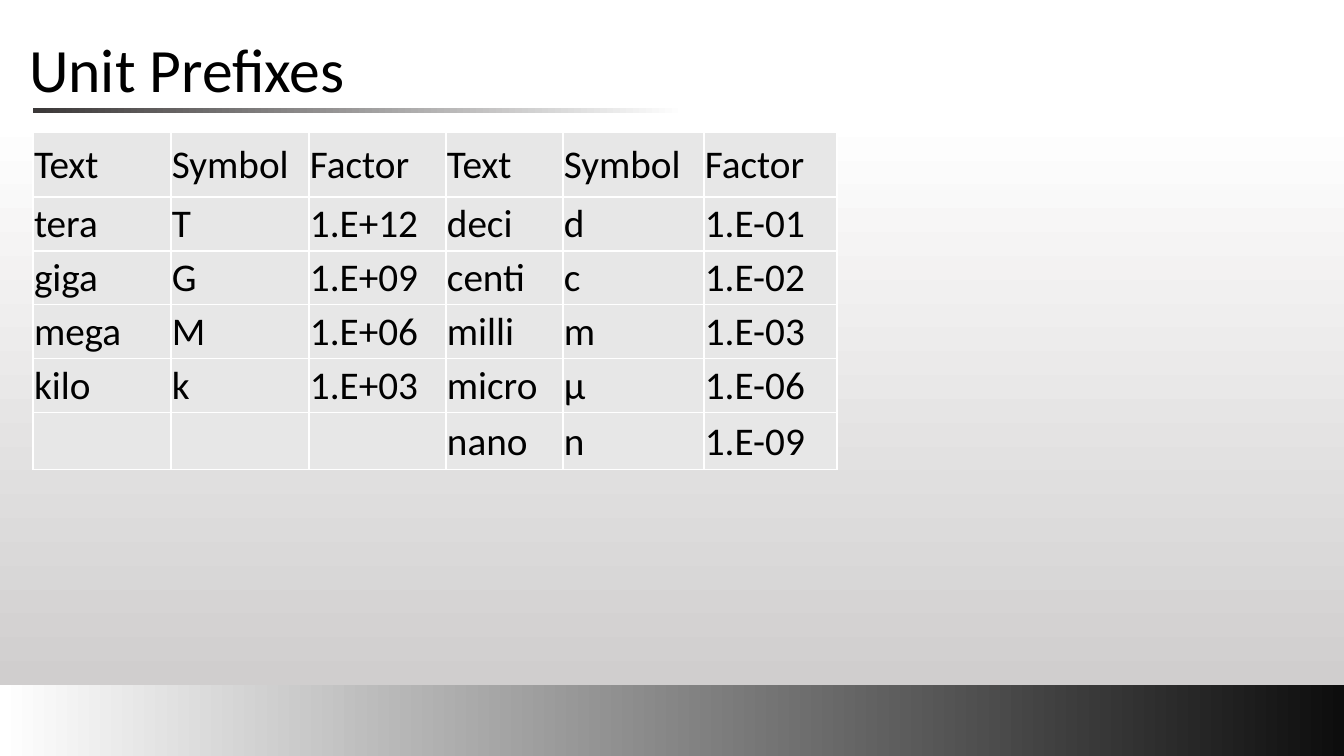
import dataclasses

import pptx
import pptx.dml.color
import pptx.enum.shapes
import pptx.enum.text
import pptx.oxml
import pptx.oxml.ns
import pptx.util

SCALE = 12192000 / 1344  # EMU in one pixel


@dataclasses.dataclass(frozen=True)
class Theme:
    """Colours, font and type sizes of the slide."""
    font: str = "Calibri"
    ink: str = "000000"
    white: str = "FFFFFF"
    cell: str = "E7E7E7"
    band: str = "0D0D0D"
    panel: str = "D0CECE"
    rule: str = "3B3838"
    title: int = 44
    body: int = 28


THEME = Theme()

WIDTHS = [138, 138, 137, 117, 141, 133]
HEIGHTS = [65, 54, 54, 54, 54, 57]
HEAD = ["Text", "Symbol", "Factor"] * 2
LARGE = [
    ("tera", "T", "1.E+12"),
    ("giga", "G", "1.E+09"),
    ("mega", "M", "1.E+06"),
    ("kilo", "k", "1.E+03"),
    ("", "", ""),
]
SMALL = [
    ("deci", "d", "1.E-01"),
    ("centi", "c", "1.E-02"),
    ("milli", "m", "1.E-03"),
    ("micro", "\u03bc", "1.E-06"),
    ("nano", "n", "1.E-09"),
]


def px(count):
    """Turn pixels into EMU."""
    return pptx.util.Emu(round(count * SCALE))


def shade(code):
    """Turn a hex code into a colour."""
    return pptx.dml.color.RGBColor.from_string(code)


def style(frame, size):
    """Format every run of a text frame."""
    for para in frame.paragraphs:
        for run in para.runs:
            run.font.name = THEME.font
            run.font.size = pptx.util.Pt(size)
            run.font.color.rgb = shade(THEME.ink)


def add_title(slide, text):
    """Place and format the title."""
    title = slide.shapes.title
    title.left, title.top, title.width, title.height = map(px, (19, 0, 1159, 146))
    frame = title.text_frame
    frame.text = text
    frame.vertical_anchor = pptx.enum.text.MSO_ANCHOR.MIDDLE
    frame.paragraphs[0].alignment = pptx.enum.text.PP_ALIGN.LEFT
    frame.paragraphs[0].line_spacing = 0.9
    style(frame, THEME.title)


def add_fade(slide, box, color, angle):
    """Add a box that fades from a colour to white, angle counter-clockwise."""
    kind = pptx.enum.shapes.MSO_SHAPE.RECTANGLE
    shape = slide.shapes.add_shape(kind, *map(px, box))
    shape.shadow.inherit = False
    shape.line.fill.background()
    shape.fill.gradient()
    shape.fill.gradient_angle = angle
    for stop, code in zip(shape.fill.gradient_stops, (color, THEME.white)):
        stop.color.rgb = shade(code)


def add_edges(cell):
    """Draw thin white borders around a cell."""
    props = cell._tc.get_or_add_tcPr()
    space = pptx.oxml.ns.nsdecls("a")
    for side in "LRTB":
        props.append(pptx.oxml.parse_xml(
            f'<a:ln{side} {space} w="12700"><a:solidFill>'
            f'<a:srgbClr val="{THEME.white}"/></a:solidFill></a:ln{side}>'))


def fill_cell(cell, text):
    """Write and format one cell."""
    add_edges(cell)
    cell.fill.solid()
    cell.fill.fore_color.rgb = shade(THEME.cell)
    cell.vertical_anchor = pptx.enum.text.MSO_ANCHOR.MIDDLE
    cell.margin_left = cell.margin_right = cell.margin_top = px(1)
    cell.margin_bottom = 0
    cell.text_frame.text = text
    style(cell.text_frame, THEME.body)


def add_grid(slide, left, top, rows):
    """Add the table of prefixes."""
    size = sum(WIDTHS), sum(HEIGHTS)
    table = slide.shapes.add_table(
        len(rows), len(WIDTHS), *map(px, (left, top, *size))).table
    table.first_row = table.horz_banding = False
    for column, width in zip(table.columns, WIDTHS):
        column.width = px(width)
    for line, height, texts in zip(table.rows, HEIGHTS, rows):
        line.height = px(height)
        for cell, text in zip(line.cells, texts):
            fill_cell(cell, text)


def main():
    """Build the slide and save it."""
    deck = pptx.Presentation()
    deck.slide_width, deck.slide_height = px(1344), px(756)
    slide = deck.slides.add_slide(deck.slide_layouts[5])
    add_title(slide, "Unit Prefixes")
    add_fade(slide, (0, 685, 1344, 71), THEME.band, 180)
    add_fade(slide, (0, 113, 1344, 572), THEME.panel, 90)
    add_fade(slide, (33, 108, 652, 5), THEME.rule, 0)
    rows = [HEAD] + [big + small for big, small in zip(LARGE, SMALL)]
    add_grid(slide, 33, 132, rows)
    deck.save("out.pptx")


main()
